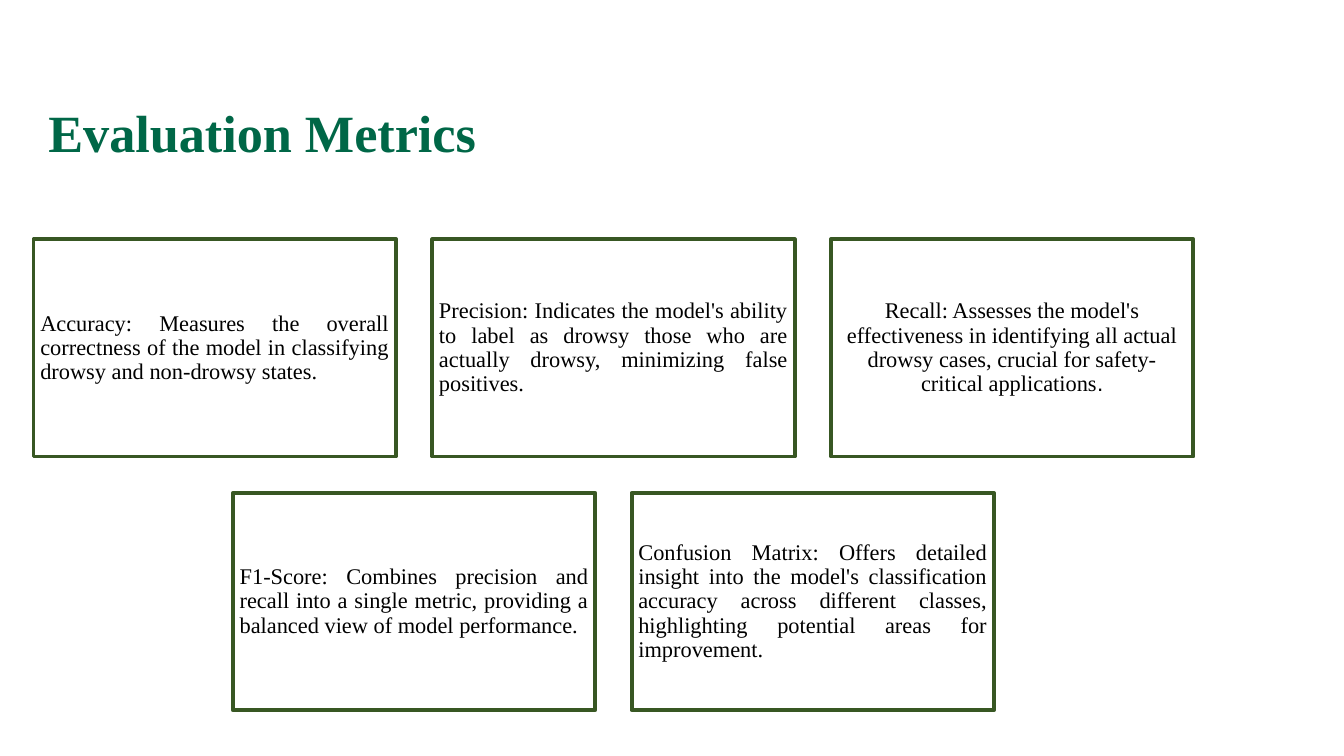
from pptx import Presentation
from pptx.dml.color import RGBColor
from pptx.enum.shapes import MSO_SHAPE
from pptx.enum.text import MSO_ANCHOR, MSO_AUTO_SIZE, PP_ALIGN
from pptx.util import Inches, Pt

# Content: rows of cards, each card an alignment and its (text, font) runs
SERIF, SANS = "Times New Roman", "Arial"
TITLE = "Evaluation Metrics"
METRIC_ROWS = [
    [
        (PP_ALIGN.JUSTIFY, [("Accuracy: Measures the overall correctness of the model in "
                             "classifying drowsy and non-drowsy states.", SERIF)]),
        (PP_ALIGN.JUSTIFY, [("Precision: Indicates the model's ability to label as drowsy "
                             "those who are actually drowsy, minimizing false positives.", SERIF)]),
        (PP_ALIGN.CENTER, [("Recall: Assesses the model's effectiveness in identifying all "
                            "actual drowsy cases, crucial for safety-critical applications", SERIF),
                           (".", SANS)]),
    ],
    [
        (PP_ALIGN.JUSTIFY, [("F1-Score: Combines precision and recall into a single metric, "
                             "providing a balanced view of model performance.", SERIF)]),
        (PP_ALIGN.JUSTIFY, [("Confusion Matrix: Offers detailed insight into the model's "
                             "classification accuracy across different classes, highlighting "
                             "potential areas for improvement.", SERIF)]),
    ],
]

GREEN = RGBColor(0x00, 0x67, 0x47)
BORDER = RGBColor(0x38, 0x57, 0x23)
WHITE = RGBColor(0xFF, 0xFF, 0xFF)
BLACK = RGBColor(0x00, 0x00, 0x00)

# Grid in inches: three cards and two gaps fill the width, every row is centred
GRID_LEFT, GRID_TOP, GRID_WIDTH = 0.25, 1.78, 8.63
CARD_WIDTH = GRID_WIDTH / 3.2
CARD_HEIGHT, GAP = 0.6 * CARD_WIDTH, 0.1 * CARD_WIDTH


def write(shape, runs, size, color, align, inset, bold=False):
    frame = shape.text_frame
    frame.word_wrap = True
    frame.auto_size = MSO_AUTO_SIZE.NONE
    frame.vertical_anchor = MSO_ANCHOR.MIDDLE
    frame.margin_left = frame.margin_right = Inches(inset)
    frame.margin_top = frame.margin_bottom = Inches(0.05)
    para = frame.paragraphs[0]
    para.alignment = align
    para.line_spacing = 0.9
    for text, font_name in runs:
        span = para.add_run()
        span.text = text
        span.font.name = font_name
        span.font.size = Pt(size)
        span.font.bold = bold
        span.font.color.rgb = color


deck = Presentation()
deck.slide_width = Inches(10)
deck.slide_height = deck.slide_width * 9 // 16
page = deck.slides.add_slide(deck.slide_layouts[5])

# Title
title = page.shapes.title
title.left, title.top = Inches(0.26), Inches(0.63)
title.width, title.height = Inches(9.05), Inches(0.76)
write(title, [(TITLE, SERIF)], 28, GREEN, PP_ALIGN.LEFT, 0.1, bold=True)

# Metric cards
for row, cards in enumerate(METRIC_ROWS):
    row_width = len(cards) * (CARD_WIDTH + GAP) - GAP
    row_left = GRID_LEFT + (GRID_WIDTH - row_width) / 2
    top = GRID_TOP + row * (CARD_HEIGHT + GAP)
    for column, (align, runs) in enumerate(cards):
        left = row_left + column * (CARD_WIDTH + GAP)
        card = page.shapes.add_shape(MSO_SHAPE.RECTANGLE, Inches(left), Inches(top),
                                     Inches(CARD_WIDTH), Inches(CARD_HEIGHT))
        card.shadow.inherit = False
        card.fill.solid()
        card.fill.fore_color.rgb = WHITE
        card.line.color.rgb = BORDER
        card.line.width = Pt(2)
        write(card, runs, 12, BLACK, align, 0.05)

deck.save("out.pptx")
